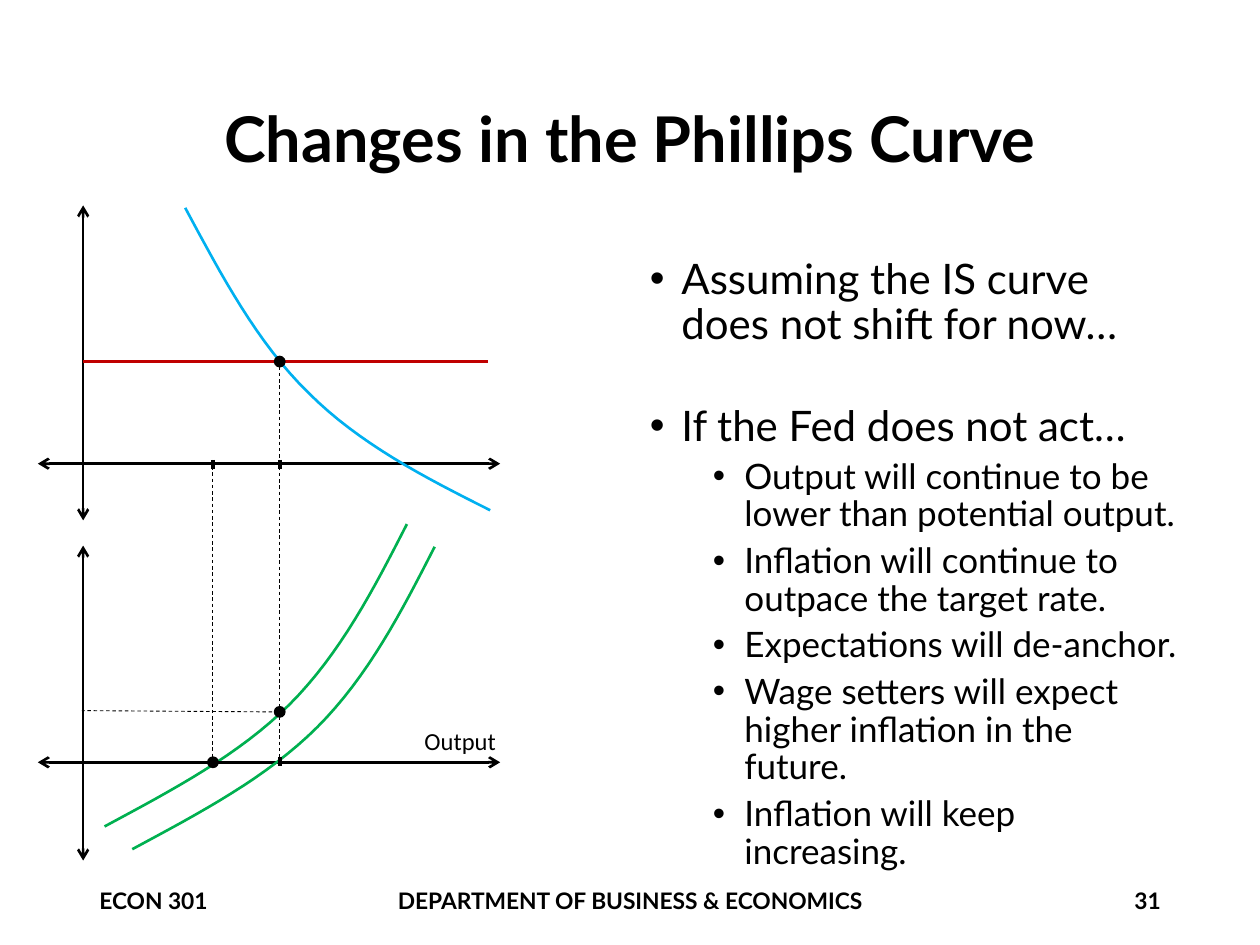
"""Build the Phillips curve slide with its two linked diagrams."""
from dataclasses import dataclass

from lxml.etree import SubElement
from pptx import Presentation
from pptx.dml.color import RGBColor
from pptx.enum.dml import MSO_LINE
from pptx.enum.shapes import MSO_CONNECTOR, MSO_SHAPE
from pptx.enum.text import MSO_ANCHOR, PP_ALIGN
from pptx.oxml.ns import qn
from pptx.util import Inches, Pt


@dataclass(frozen=True)
class Theme:
    black: str = "000000"
    rate: str = "C00000"
    demand: str = "00B0F0"
    phillips: str = "00B050"
    font: str = "Lato"
    label_font: str = "Calibri"
    title: int = 36
    bullet: int = 24
    sub_bullet: int = 20
    label: int = 14
    footer: int = 13
    thick: float = 2.25
    line: float = 1.5
    thin: float = 0.5


def set_attrs(obj, values):
    for name, value in values.items():
        setattr(obj, name, value)


def bezier(p0, p1, p2, p3, steps=16):
    for i in range(1, steps + 1):
        t = i / steps
        u = 1 - t
        weights = (u**3, 3 * u * u * t, 3 * u * t * t, t**3)
        yield tuple(
            Inches(sum(w * v for w, v in zip(weights, axis)))
            for axis in zip(p0, p1, p2, p3)
        )


class Canvas:
    def __init__(self, slide, theme):
        self.s = slide
        self.theme = theme

    def frame(self, box, **fmt):
        tf = self.s.shapes.add_textbox(*map(Inches, box)).text_frame
        set_attrs(tf, {"word_wrap": True, **fmt})
        return tf

    def run(self, p, text, size, font=None, bold=False, **fmt):
        set_attrs(p, fmt)
        r = p.add_run()
        r.text = text
        set_attrs(r.font, {"name": font or self.theme.font, "size": Pt(size), "bold": bold})
        r.font.color.rgb = RGBColor.from_string(self.theme.black)

    def text(self, box, text, size, align=PP_ALIGN.LEFT, spacing=1.0):
        tf = self.frame(box, vertical_anchor=MSO_ANCHOR.MIDDLE)
        self.run(tf.paragraphs[0], text, size, bold=True, alignment=align, line_spacing=spacing)

    def label(self, box, text):
        tf = self.frame(box, word_wrap=False)
        self.run(tf.paragraphs[0], text, self.theme.label, self.theme.label_font)

    def bullets(self, box, items):
        tf = self.frame(box)
        for i, (level, before, text) in enumerate(items):
            p = tf.paragraphs[0] if i == 0 else tf.add_paragraph()
            pPr = p._p.get_or_add_pPr()
            pPr.set("marL", str(Inches(0.25 + 0.5 * level)))
            pPr.set("indent", str(Inches(-0.25)))
            SubElement(pPr, qn("a:buFont"), typeface="Arial")
            SubElement(pPr, qn("a:buChar"), char="•")
            size = self.theme.sub_bullet if level else self.theme.bullet
            self.run(p, text, size, level=level, line_spacing=0.9, space_before=Pt(before))

    def line(self, start, end, color=None, width=None, dash=False, arrows=False):
        sp = self.s.shapes.add_connector(
            MSO_CONNECTOR.STRAIGHT, *map(Inches, (*start, *end)))
        sp.line.color.rgb = RGBColor.from_string(color or self.theme.black)
        sp.line.width = Pt(width or self.theme.line)
        if dash:
            sp.line.dash_style = MSO_LINE.DASH
        spPr = sp.element.spPr
        if arrows:
            for tag in ("a:headEnd", "a:tailEnd"):
                SubElement(spPr.find(qn("a:ln")), qn(tag), type="arrow")
        SubElement(spPr, qn("a:effectLst"))

    def curve(self, points, color):
        fb = self.s.shapes.build_freeform(*map(Inches, points[0]))
        for i in range(0, len(points) - 1, 3):
            fb.add_line_segments(list(bezier(*points[i:i + 4])), close=False)
        sp = fb.convert_to_shape()
        sp.shadow.inherit = False
        sp.fill.background()
        sp.line.color.rgb = RGBColor.from_string(color)
        sp.line.width = Pt(self.theme.line)

    def dot(self, x, y, size=0.08):
        sp = self.s.shapes.add_shape(
            MSO_SHAPE.OVAL, *map(Inches, (x - size / 2, y - size / 2, size, size)))
        sp.shadow.inherit = False
        sp.fill.solid()
        for color in (sp.fill.fore_color, sp.line.color):
            color.rgb = RGBColor.from_string(self.theme.black)
        sp.line.width = Pt(1)

    def tick(self, x, y):
        self.line((x, y - 0.03), (x, y + 0.04), width=self.theme.thick)

    def axes(self, top, cross):
        self.line((0.66, top), (0.66, top + 2.5), arrows=True)
        self.line((0.3, cross), (3.97, cross), arrows=True)


BULLETS = [
    (0, 0, "Assuming the IS curve does not shift for now…"),
    (0, 32, "If the Fed does not act…"),
    (1, 5, "Output will continue to be lower than potential output."),
    (1, 5, "Inflation will continue to outpace the target rate."),
    (1, 5, "Expectations will de-anchor."),
    (1, 5, "Wage setters will expect higher inflation in the future."),
    (1, 5, "Inflation will keep increasing."),
]
FOOTERS = [
    (0.69, 2.25, "ECON 301", PP_ALIGN.LEFT),
    (1.85, 6.3, "DEPARTMENT OF BUSINESS & ECONOMICS", PP_ALIGN.CENTER),
    (7.06, 2.25, "31", PP_ALIGN.RIGHT),
]
IS_CURVE = [(1.47, 1.65), (1.76, 2.19), (2.04, 2.72), (2.45, 3.12),
            (2.85, 3.52), (3.37, 3.79), (3.89, 4.05)]
PHILLIPS = [(0.83, 6.56), (1.37, 6.27), (1.9, 5.99), (2.3, 5.59),
            (2.7, 5.19), (2.97, 4.67), (3.23, 4.16)]
SHIFT = (0.22, 0.18)
LOW, POTENTIAL = 1.69, 2.22
RATE, UPPER_AXIS, INFLATION, LOWER_AXIS = 2.87, 3.68, 5.65, 6.05


def main():
    prs = Presentation()
    set_attrs(prs, {"slide_width": Inches(10), "slide_height": Inches(7.5)})
    theme = Theme()
    c = Canvas(prs.slides.add_slide(prs.slide_layouts[6]), theme)

    c.curve(PHILLIPS, theme.phillips)
    c.text((0.69, 0.4, 8.62, 1.45), "Changes in the Phillips Curve", theme.title,
           PP_ALIGN.CENTER, 0.9)
    c.bullets((5.06, 2, 4.44, 4.76), BULLETS)
    for left, width, text, align in FOOTERS:
        c.text((left, 6.95, width, 0.4), text, theme.footer, align)

    c.axes(1.63, UPPER_AXIS)
    c.axes(4.33, LOWER_AXIS)
    c.line((0.66, RATE), (3.87, RATE), theme.rate)
    c.curve(IS_CURVE, theme.demand)
    c.curve([(x + SHIFT[0], y + SHIFT[1]) for x, y in PHILLIPS], theme.phillips)
    c.label((3.27, 5.71, 0.78, 0.34), "Output")

    for start, end in [
        ((POTENTIAL, 2.91), (POTENTIAL, LOWER_AXIS)),
        ((2.16, INFLATION), (0.65, 5.64)),
        ((LOW, 3.65), (LOW, 6.01)),
    ]:
        c.line(start, end, width=theme.thin, dash=True)
    for x in (LOW, POTENTIAL):
        for y in (UPPER_AXIS, LOWER_AXIS - 0.01):
            c.tick(x, y)
    for x, y in [(POTENTIAL, RATE), (LOW, LOWER_AXIS), (POTENTIAL, INFLATION)]:
        c.dot(x, y)

    prs.save("out.pptx")


if __name__ == "__main__":
    main()
